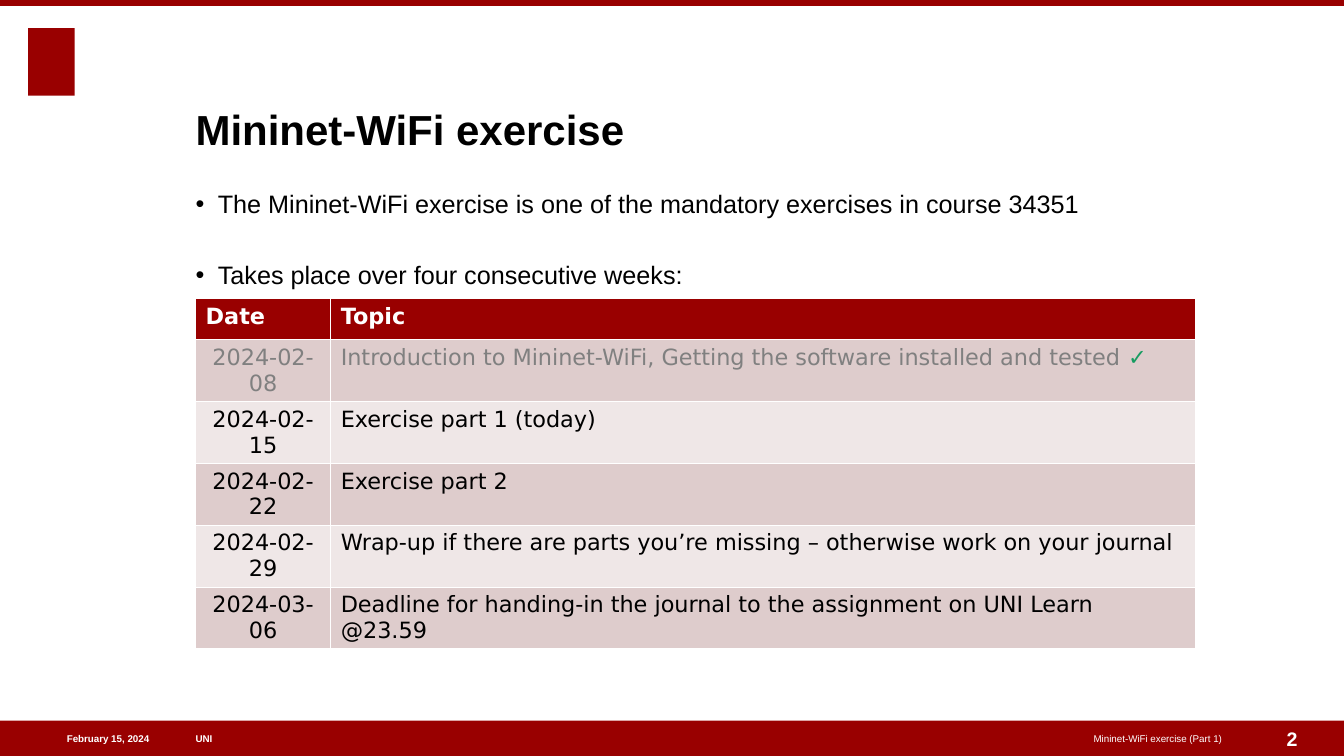
from pptx import Presentation
from pptx.dml.color import RGBColor
from pptx.enum.shapes import MSO_SHAPE
from pptx.enum.text import MSO_ANCHOR, MSO_AUTO_SIZE, PP_ALIGN
from pptx.util import Inches, Pt

COLORS = {
    "red": "990000", "white": "FFFFFF", "black": "000000", "gray": "808080",
    "green": "179C61", "dark": "DECCCC", "light": "EFE7E7",
}
LEFT, WIDTH = 1.94, 10.18
BAR_TOP, BAR_HIGH = 7.15, 0.35
BULLETS = [
    "The Mininet-WiFi exercise is one of the mandatory exercises in course 34351",
    "Takes place over four consecutive weeks:",
]
PLAN = [
    ("2024-02-08", "Introduction to Mininet-WiFi, Getting the software installed and tested "),
    ("2024-02-15", "Exercise part 1 (today)"),
    ("2024-02-22", "Exercise part 2"),
    ("2024-02-29", "Wrap-up if there are parts you’re missing – otherwise work on your journal"),
    ("2024-03-06", "Deadline for handing-in the journal to the assignment on UNI Learn @23.59"),
]


def color(name):
    """Return the named colour."""
    return RGBColor.from_string(COLORS[name])


def style(para, size, tint, bold=False, align=PP_ALIGN.LEFT, face="Arial"):
    """Set the font and alignment of a paragraph."""
    para.alignment = align
    font = para.font
    font.name, font.size, font.bold = face, Pt(size), bold
    font.color.rgb = color(tint)


def place(shape, left, top, width, height):
    """Move and size a shape, in inches."""
    shape.left, shape.top = Inches(left), Inches(top)
    shape.width, shape.height = Inches(width), Inches(height)


def fit(frame, anchor):
    """Wrap text without margins or shrinking."""
    frame.margin_left = frame.margin_right = 0
    frame.margin_top = frame.margin_bottom = 0
    frame.word_wrap = True
    frame.auto_size = MSO_AUTO_SIZE.NONE
    frame.vertical_anchor = anchor


def add_block(slide, left, top, width, height):
    """Add a plain red rectangle."""
    block = slide.shapes.add_shape(
        MSO_SHAPE.RECTANGLE, Inches(left), Inches(top), Inches(width), Inches(height))
    block.shadow.inherit = False
    block.fill.solid()
    block.fill.fore_color.rgb = color("red")
    block.line.fill.background()


def add_label(slide, text, left, width, size=7, bold=True, align=PP_ALIGN.LEFT):
    """Add white text in the footer bar."""
    box = slide.shapes.add_textbox(
        Inches(left), Inches(BAR_TOP), Inches(width), Inches(BAR_HIGH))
    fit(box.text_frame, MSO_ANCHOR.MIDDLE)
    box.text_frame.text = text
    style(box.text_frame.paragraphs[0], size, "white", bold, align)


def fill_title(title, text):
    """Fill the title placeholder."""
    place(title, LEFT, 0.47, WIDTH, 1.06)
    fit(title.text_frame, MSO_ANCHOR.BOTTOM)
    title.text_frame.text = text
    style(title.text_frame.paragraphs[0], 30, "black", True)


def fill_body(body, items):
    """Fill the body placeholder with spaced bullets."""
    place(body, LEFT, 1.87, WIDTH, 4.97)
    frame = body.text_frame
    fit(frame, MSO_ANCHOR.TOP)
    frame.text = "\n".join(items)
    for index, para in enumerate(frame.paragraphs):
        style(para, 18, "black")
        para.space_before = Pt(29 if index else 3.6)
        props = para._p.get_or_add_pPr()
        props.set("marL", str(Inches(0.22)))
        props.set("indent", str(Inches(-0.22)))


def fill_cell(cell, text, back, tint, bold=False, align=PP_ALIGN.LEFT):
    """Write one table cell."""
    cell.fill.solid()
    cell.fill.fore_color.rgb = color(back)
    cell.text = text
    style(cell.text_frame.paragraphs[0], 16, tint, bold, align, "DejaVu Sans")


def add_plan(slide):
    """Add the table of dates and topics."""
    count = len(PLAN) + 1
    table = slide.shapes.add_table(
        count, 2, Inches(LEFT), Inches(2.96), Inches(9.92), Inches(0.41 * count)).table
    for col, width in zip(table.columns, (1.34, 8.58)):
        col.width = Inches(width)
    for col, head in enumerate(("Date", "Topic")):
        fill_cell(table.cell(0, col), head, "red", "white", True)
    for row, (date, topic) in enumerate(PLAN, 1):
        back = "dark" if row % 2 else "light"
        tint = "gray" if row == 1 else "black"
        fill_cell(table.cell(row, 0), date, back, tint, align=PP_ALIGN.CENTER)
        fill_cell(table.cell(row, 1), topic, back, tint)
    tick = table.cell(1, 1).text_frame.paragraphs[0].add_run()
    tick.text = "✓"
    tick.font.bold = True
    tick.font.color.rgb = color("green")


def main():
    """Build and save the slide."""
    deck = Presentation()
    deck.slide_width, deck.slide_height = Inches(13.33), Inches(7.5)
    slide = deck.slides.add_slide(deck.slide_layouts[1])
    add_block(slide, 0.28, 0.28, 0.46, 0.67)
    add_block(slide, 0, BAR_TOP, 13.33, BAR_HIGH)
    add_block(slide, 0, 0, 13.33, 0.06)
    add_label(slide, "UNI", LEFT, 3.72)
    add_label(slide, "February 15, 2024", 0.27, 1.21, align=PP_ALIGN.RIGHT)
    add_label(slide, "Mininet-WiFi exercise (Part 1)", 6.11, 6.01,
              bold=False, align=PP_ALIGN.RIGHT)
    add_label(slide, "2", 12.58, 0.47, 14, align=PP_ALIGN.CENTER)
    fill_title(slide.shapes.title, "Mininet-WiFi exercise")
    fill_body(slide.placeholders[1], BULLETS)
    add_plan(slide)
    deck.save("out.pptx")


main()
